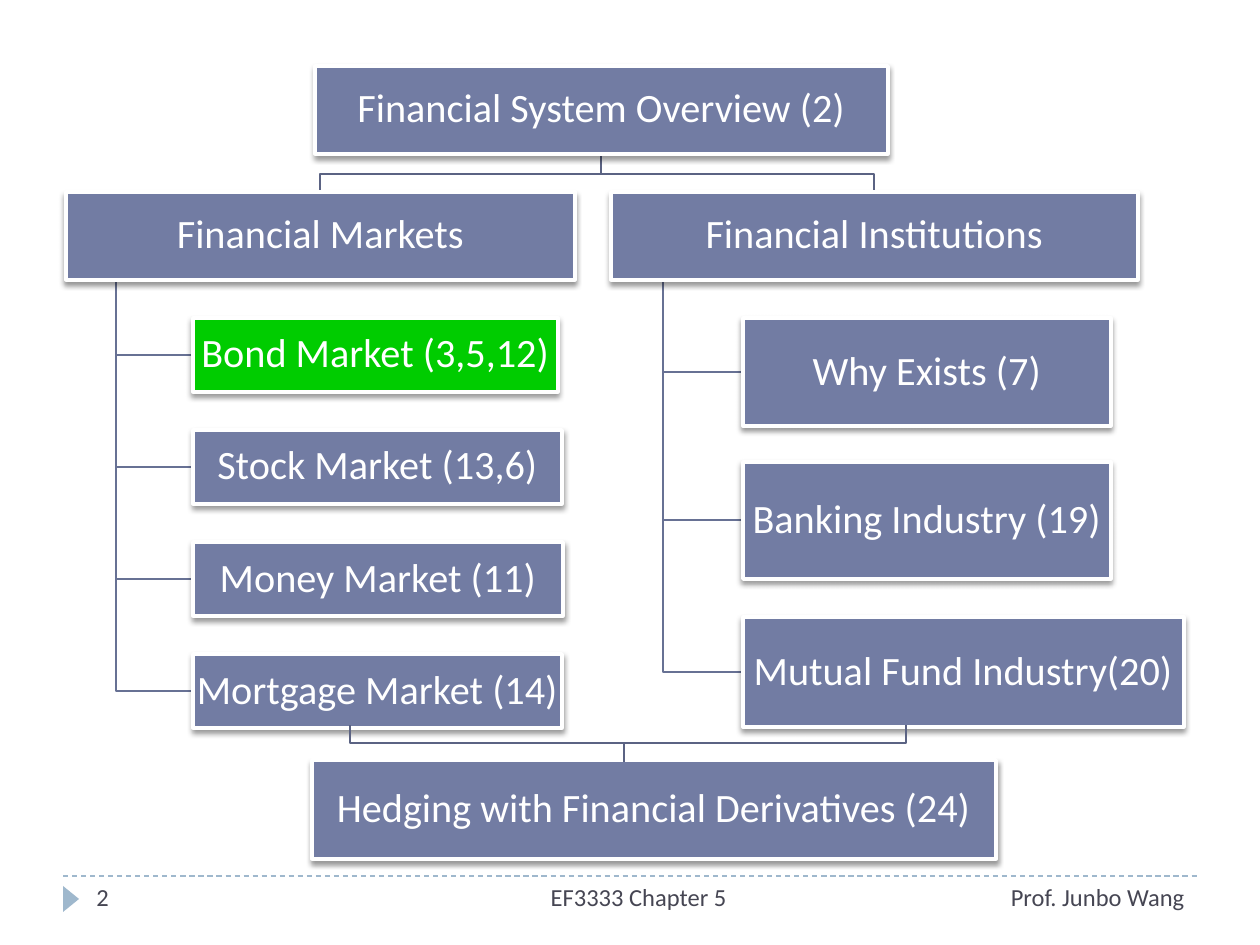
from lxml import etree
from pptx import Presentation
from pptx.dml.color import RGBColor
from pptx.enum.dml import MSO_LINE
from pptx.enum.shapes import MSO_CONNECTOR, MSO_SHAPE
from pptx.enum.text import MSO_ANCHOR, PP_ALIGN
from pptx.oxml import parse_xml
from pptx.oxml.ns import nsdecls, qn
from pptx.util import Pt

EMU_PER_PX = 914400 / 126
FONT = "Calibri"
COLORS = {
    "box": "727CA3", "highlight": "00CC00", "white": "FFFFFF", "shadow": "000000",
    "branch": "677194", "bracket": "5B6383", "accent": "9FB8CD", "footer": "464653",
}
SHADOW_XML = (
    f'<a:effectLst {nsdecls("a")}>'
    '<a:outerShdw blurRad="38100" dist="25400" dir="5400000" rotWithShape="0">'
    f'<a:srgbClr val="{COLORS["shadow"]}"><a:alpha val="40000"/></a:srgbClr>'
    '</a:outerShdw></a:effectLst>'
)


def px(*lengths):
    return [round(length * EMU_PER_PX) for length in lengths]


def rgb(name):
    return RGBColor.from_string(COLORS[name])


def write(frame, text, size, color, align):
    paragraph = frame.paragraphs[0]
    paragraph.text = text
    paragraph.alignment = align
    paragraph.font.name = FONT
    paragraph.font.size = Pt(size)
    paragraph.font.color.rgb = rgb(color)
    return paragraph


def add_box(slide, box, text, fill="box"):
    shape = slide.shapes.add_shape(MSO_SHAPE.RECTANGLE, *px(*box))
    shape.fill.solid()
    shape.fill.fore_color.rgb = rgb(fill)
    shape.line.color.rgb = rgb("white")
    shape.line.width = Pt(2)
    shape._element.spPr.append(parse_xml(SHADOW_XML))
    frame = shape.text_frame
    frame.word_wrap = True
    frame.vertical_anchor = MSO_ANCHOR.MIDDLE
    frame.margin_left = frame.margin_right = px(2)[0]
    frame.margin_top = frame.margin_bottom = px(2)[0]
    write(frame, text, 23, "white", PP_ALIGN.CENTER).line_spacing = 0.9


def add_path(slide, points, color):
    builder = slide.shapes.build_freeform(*points[0], scale=EMU_PER_PX)
    builder.add_line_segments(points[1:], close=False)
    shape = builder.convert_to_shape()
    shape.shadow.inherit = False
    shape.fill.background()
    shape.line.color.rgb = rgb(color)
    shape.line.width = Pt(1.5)


def add_bracket(slide, start, middle_y, ends):
    """Joins one point to several through a shared horizontal bar."""
    for x, y in ends:
        add_path(slide, [start, (start[0], middle_y), (x, middle_y), (x, y)], "bracket")


def add_branch(slide, box, heading, children):
    """A heading with a stem at a tenth of its width; children are (box, text, fill)."""
    left, top, width, height = box
    stem, bottom = left + width // 10, top + height
    for (x, y, _, child_height), _, _ in children:
        middle = y + child_height // 2
        add_path(slide, [(stem, bottom), (stem, middle), (x, middle)], "branch")
    add_box(slide, box, heading)
    for child in children:
        add_box(slide, *child)


def add_footer(slide, box):
    left, top, width, height = box
    # Dashed rule
    rule = slide.shapes.add_connector(
        MSO_CONNECTOR.STRAIGHT, *px(left, top, left + width, top))
    rule.line.color.rgb = rgb("accent")
    rule.line.width = Pt(0.75)
    rule.line.dash_style = MSO_LINE.DASH
    etree.SubElement(rule._element.spPr, qn("a:effectLst"))
    # Page marker
    marker = slide.shapes.add_shape(
        MSO_SHAPE.ISOSCELES_TRIANGLE, *px(left - 5, top + 15, 26, 16))
    marker.rotation = 90
    marker.shadow.inherit = False
    marker.fill.solid()
    marker.fill.fore_color.rgb = rgb("accent")
    marker.line.fill.background()
    # Page number, course and lecturer
    for offset, text_width, text, align in (
        (21, 273, "2", PP_ALIGN.LEFT),
        (336, 340, "EF3333 Chapter 5", PP_ALIGN.RIGHT),
        (819, 315, "Prof. Junbo Wang", PP_ALIGN.RIGHT),
    ):
        text_box = slide.shapes.add_textbox(*px(left + offset, top, text_width, height))
        text_box.text_frame.word_wrap = True
        write(text_box.text_frame, text, 14, "footer", align)


def main():
    presentation = Presentation()
    presentation.slide_width, presentation.slide_height = px(1260, 945)
    slide = presentation.slides.add_slide(presentation.slide_layouts[6])

    add_footer(slide, (63, 876, 1134, 50))

    # Overview and its two branches
    add_bracket(slide, (601, 154), 174, [(320, 191), (874, 191)])
    add_box(slide, (315, 66, 573, 88), "Financial System Overview (2)")
    markets = [
        ("Bond Market (3,5,12)", 365, "highlight"),
        ("Stock Market (13,6)", 369, "box"),
        ("Money Market (11)", 370, "box"),
        ("Mortgage Market (14)", 369, "box"),
    ]
    add_branch(slide, (66, 192, 509, 88), "Financial Markets", [
        ((193, 318 + 112 * row, width, 74), text, fill)
        for row, (text, width, fill) in enumerate(markets)
    ])
    add_branch(slide, (611, 192, 527, 88), "Financial Institutions", [
        ((743, 318, 368, 108), "Why Exists (7)", "box"),
        ((743, 462, 368, 117), "Banking Industry (19)", "box"),
        ((743, 617, 441, 110), "Mutual Fund Industry(20)", "box"),
    ])

    # Derivatives, joined to both branches from below
    add_box(slide, (312, 760, 684, 99), "Hedging with Financial Derivatives (24)")
    add_bracket(slide, (624, 762), 743, [(350, 725), (906, 725)])

    presentation.save("out.pptx")


if __name__ == "__main__":
    main()
